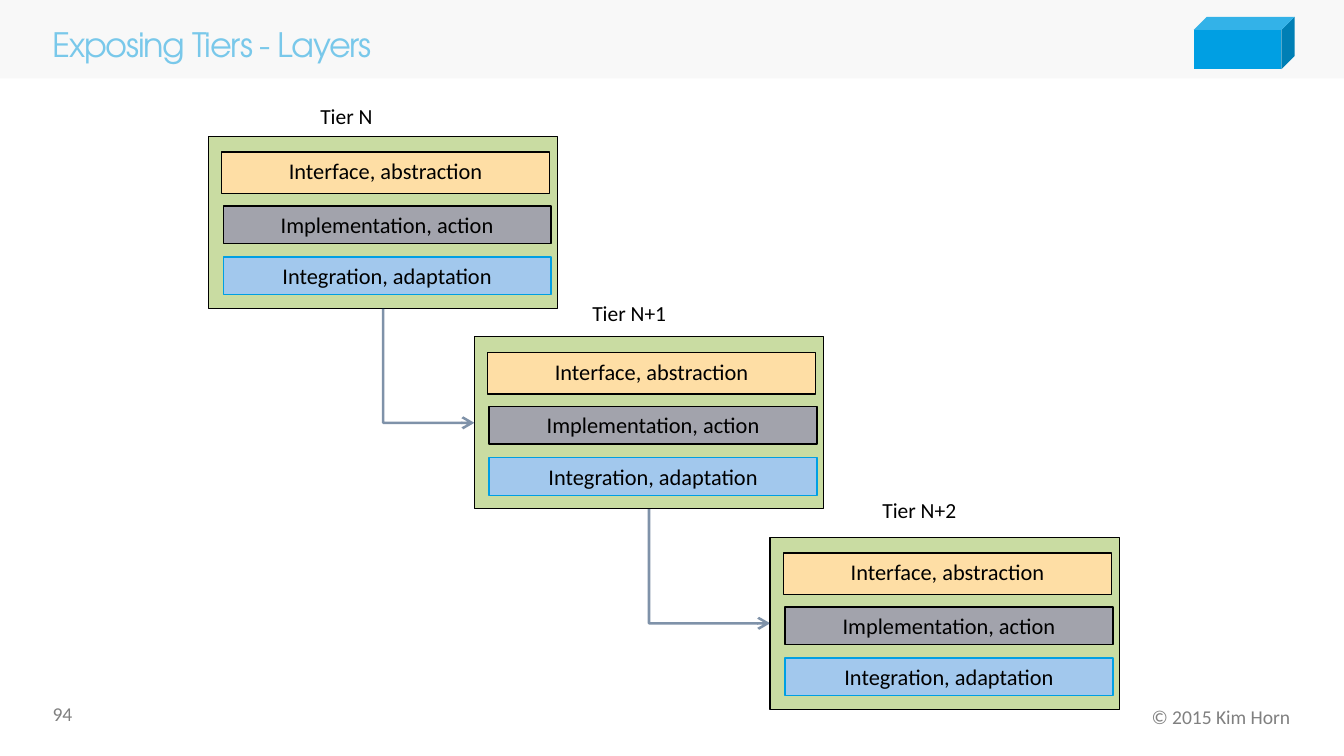
from dataclasses import dataclass

from lxml import etree
from pptx import Presentation
from pptx.dml import color
from pptx.enum import shapes, text
from pptx.oxml import ns
from pptx.util import Pt


@dataclass(frozen=True)
class Theme:
    band: str = "F2F2F2"
    accent: str = "009FE3"
    ink: str = "000000"
    muted: str = "808080"
    tier: str = "C9DCA2"
    interface: str = "FEDEA5"
    implementation: str = "A2A3AC"
    integration: str = "A2C8ED"
    arrow: str = "002754"
    title_font: str = "TeX Gyre Adventor"
    body_font: str = "Calibri"
    title_size: float = 18
    layer_size: float = 12
    label_size: float = 11.5
    footer_size: float = 10.5


THEME = Theme()
ALIGN = text.PP_ALIGN
ANCHOR = text.MSO_ANCHOR


def write(frame, words, *, size, font=THEME.body_font, ink=THEME.ink,
          align=ALIGN.LEFT, anchor=ANCHOR.TOP, insets=(0, 0, 0, 0),
          wrap=True, line_spacing=None, tracking=None):
    """Fill a text frame with one formatted paragraph."""
    frame.auto_size = text.MSO_AUTO_SIZE.NONE
    frame.word_wrap = wrap
    frame.vertical_anchor = anchor
    (frame.margin_left, frame.margin_top,
     frame.margin_right, frame.margin_bottom) = map(Pt, insets)
    paragraph = frame.paragraphs[0]
    paragraph.alignment = align
    paragraph.line_spacing = line_spacing
    run = paragraph.add_run()
    run.text = words
    run.font.name, run.font.size = font, Pt(size)
    run.font.color.rgb = color.RGBColor.from_string(ink)
    if tracking:
        run.font._element.set("spc", str(round(tracking * 100)))


def paint(fill, rgb, opacity=100):
    """Set a solid colour, optionally see-through."""
    fill.solid()
    fill.fore_color.rgb = color.RGBColor.from_string(rgb)
    if opacity < 100:
        rgb_element = fill._xPr.find(".//" + ns.qn("a:srgbClr"))
        etree.SubElement(rgb_element, ns.qn("a:alpha"), val=str(opacity * 1000))


class SlideBuilder:
    def __init__(self, deck, theme):
        self.theme = theme
        self.slide = deck.slides.add_slide(deck.slide_layouts[5])

    def title(self, words, left, top, width, height):
        heading = self.slide.shapes.title
        heading.left, heading.top = Pt(left), Pt(top)
        heading.width, heading.height = Pt(width), Pt(height)
        write(heading.text_frame, words, size=self.theme.title_size,
              font=self.theme.title_font, ink=self.theme.accent,
              anchor=ANCHOR.MIDDLE, line_spacing=0.9, tracking=-0.7)

    def box(self, left, top, width, height, fill, line=None, opacity=100,
            kind=shapes.MSO_SHAPE.RECTANGLE):
        panel = self.slide.shapes.add_shape(
            kind, Pt(left), Pt(top), Pt(width), Pt(height))
        panel.shadow.inherit = False
        paint(panel.fill, fill, opacity)
        if line:
            paint(panel.line.fill, line)
            panel.line.width = Pt(0.75)
        else:
            panel.line.fill.background()
        return panel

    def label(self, words, left, top, width, height, **style):
        caption = self.slide.shapes.add_textbox(
            Pt(left), Pt(top), Pt(width), Pt(height))
        write(caption.text_frame, words, **style)

    def tier(self, left, top):
        """Draw a tier with its three layers."""
        theme = self.theme
        panel = self.box(left, top, 187.2, 92.2, theme.tier, theme.ink)
        layers = (
            ("Interface, abstraction", 7.2, 8.4, 22.3, theme.interface, theme.ink),
            ("Implementation, action", 8, 37.3, 20.2, theme.implementation, theme.ink),
            ("Integration, adaptation", 8, 64.7, 20.2, theme.integration, theme.accent),
        )
        for words, dx, dy, height, fill, line in layers:
            layer = self.box(left + dx, top + dy, 175.7, height, fill, line)
            write(layer.text_frame, words, size=theme.layer_size,
                  align=ALIGN.CENTER, insets=(5.6, 2.8, 5.6, 2.8))
        return panel

    def elbow(self, upper, lower):
        """Lead from the bottom of one tier to the left side of the next."""
        arrow = self.slide.shapes.add_connector(
            shapes.MSO_CONNECTOR.ELBOW, 0, 0, 0, 0)
        arrow.begin_connect(upper, 2)
        arrow.end_connect(lower, 1)
        # A single bend is a quarter-turned, mirrored preset: swap its sides
        start_x, start_y = upper.left + upper.width // 2, upper.top + upper.height
        end_x, end_y = lower.left, lower.top + lower.height // 2
        run, drop = end_x - start_x, end_y - start_y
        arrow.left = (start_x + end_x - drop) // 2
        arrow.top = (start_y + end_y - run) // 2
        arrow.width, arrow.height = drop, run
        properties = arrow._element.spPr
        frame = properties.find(ns.qn("a:xfrm"))
        frame.set("rot", str(270 * 60000))
        frame.set("flipH", "1")
        properties.find(ns.qn("a:prstGeom")).set("prst", "bentConnector2")
        # Line and arrowhead
        arrow.line.width = Pt(1.35)
        paint(arrow.line.fill, self.theme.arrow, 50)
        etree.SubElement(properties.find(ns.qn("a:ln")),
                         ns.qn("a:tailEnd"), type="arrow")
        etree.SubElement(properties, ns.qn("a:effectLst"))


def main():
    deck = Presentation()
    deck.slide_width, deck.slide_height = Pt(720), Pt(405)
    page = SlideBuilder(deck, THEME)

    # Header band, emblem and title
    page.box(0, 0, 720, 42, THEME.band, opacity=50)
    page.box(639.5, 9, 54, 28, THEME.accent, kind=shapes.MSO_SHAPE.CUBE)
    page.title("Exposing Tiers - Layers", 28.2, 15, 579.6, 19.6)

    # Footer
    footer = dict(size=THEME.footer_size, ink=THEME.muted)
    page.label("94", 28.2, 372.3, 23, 16.6, insets=(0, 3.6, 0, 0), **footer)
    page.label("© 2015 Kim Horn", 405.4, 377.3, 285.8, 13,
               align=ALIGN.RIGHT, anchor=ANCHOR.MIDDLE, **footer)

    # Tiers step down at equal heights
    tiers = [page.tier(left, 73 + 107.4 * step)
             for step, left in enumerate((111.6, 254.1, 412.6))]

    # Tier names
    names = (("Tier N", 166.7, 52.6), ("Tier N+1", 312.4, 158.6),
             ("Tier N+2", 467.8, 263.8))
    for name, left, top in names:
        page.label(name, left, top, 50, 18.7, size=THEME.label_size,
                   insets=(4.9, 2.4, 4.9, 2.4), wrap=False)

    # Links between neighbouring tiers
    for upper, lower in zip(tiers, tiers[1:]):
        page.elbow(upper, lower)

    deck.save("out.pptx")


if __name__ == "__main__":
    main()
